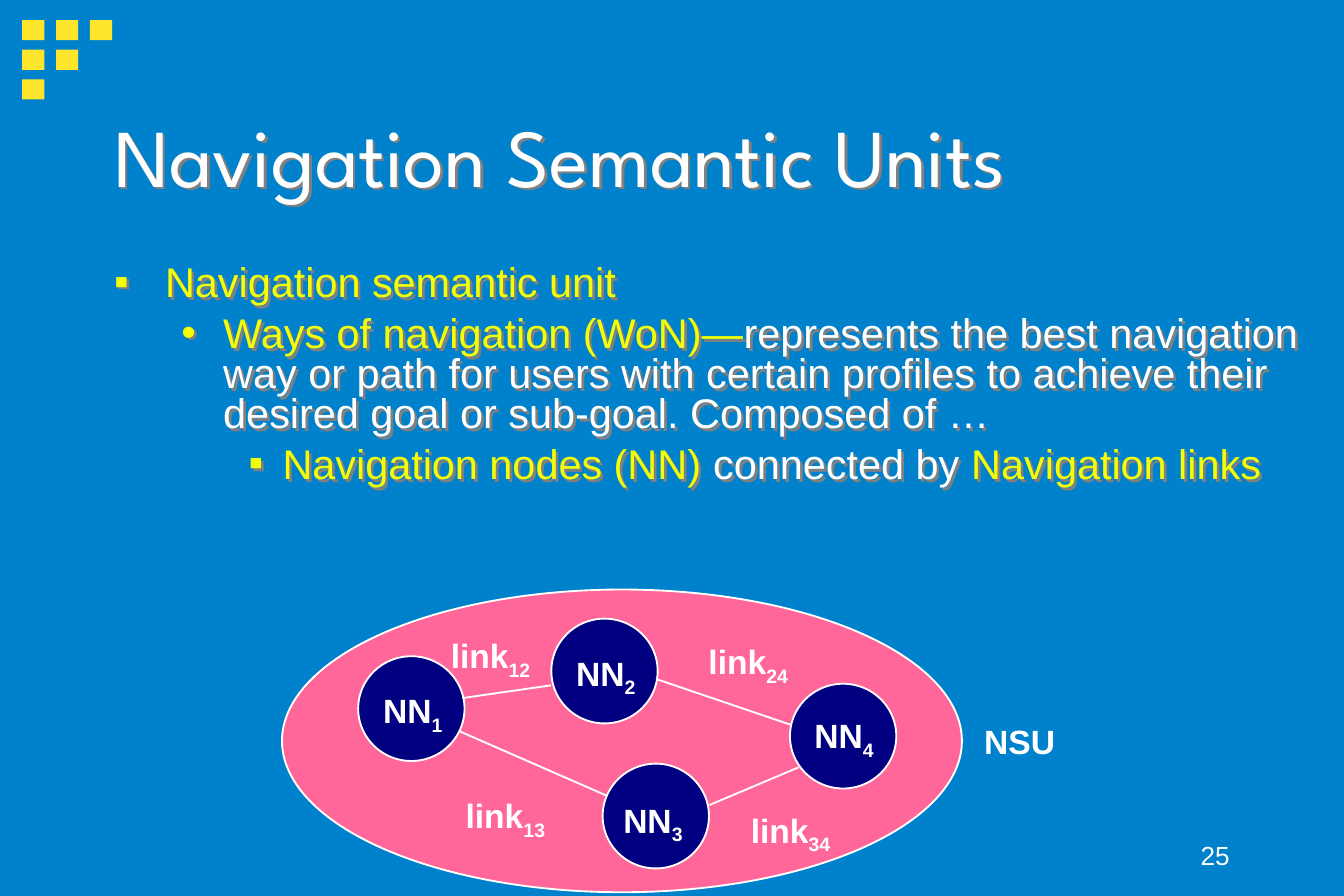
from dataclasses import dataclass

from lxml import etree
from pptx import Presentation
from pptx import util as u
from pptx.dml.color import RGBColor
from pptx.enum import shapes, text
from pptx.oxml import ns


@dataclass(frozen=True)
class Theme:
    background: str = "0081CB"
    square: str = "FFE62D"
    unit: str = "FF6699"
    node: str = "000080"
    white: str = "FFFFFF"
    accent: str = "F3FF07"
    shadow: str = "808080"
    heading: str = "League Spartan"
    body: str = "Arial"
    title_size: float = 44
    body_size: float = 22.2
    label_size: float = 18
    number_size: float = 14


THEME = Theme()
SQUARES_PER_ROW = (3, 2, 1)
NODE_SIZE = (2.01, 1.98)
NODES = {
    "1": ((6.77, 12.4), (6.99, 12.93)),
    "2": ((10.42, 11.69), (10.64, 12.22)),
    "3": ((11.39, 14.43), (11.53, 15)),
    "4": ((14.93, 12.92), (15.14, 13.4)),
}
LINKS = {
    "12": ((8.74, 13.19), (10.41, 12.95), (8.27, 11.89)),
    "13": ((8.69, 13.82), (11.48, 15.04), (8.55, 14.91)),
    "24": ((12.4, 12.83), (14.96, 13.7), (13.14, 12)),
    "34": ((13.41, 15.21), (15.09, 14.5), (13.94, 15.19)),
}
BULLETS = [
    ("▪", 0.96, 0.96, [("Navigation semantic unit", THEME.accent)]),
    ("•", 2.06, 0.79, [
        ("Ways of navigation (WoN)—", THEME.accent),
        ("represents the best navigation way or path for users with certain "
         "profiles to achieve their desired goal or sub-goal. Composed of …",
         THEME.white),
    ]),
    ("▪", 3.18, 0.64, [
        ("Navigation nodes (NN)", THEME.accent),
        (" connected by ", THEME.white),
        ("Navigation links", THEME.accent),
    ]),
]


def color(value):
    return RGBColor.from_string(value)


def lengths(*values):
    return [u.Cm(value) for value in values]


def add_figure(page, kind, place, fill, line=None):
    figure = page.shapes.add_shape(kind, *lengths(*place))
    figure.shadow.inherit = False
    figure.fill.solid()
    figure.fill.fore_color.rgb = color(fill)
    if line:
        figure.line.color.rgb = color(line)
        figure.line.width = u.Pt(1)
    else:
        figure.line.fill.background()


def add_line(page, start, end):
    line = page.shapes.add_connector(
        shapes.MSO_CONNECTOR.STRAIGHT, *lengths(*start, *end))
    line.line.color.rgb = color(THEME.white)
    line.line.width = u.Pt(1)
    etree.SubElement(line._element.spPr, ns.qn("a:effectLst"))


def add_box(page, place, wrap=True, shadowed=False):
    box = page.shapes.add_textbox(*lengths(*place))
    box.text_frame.word_wrap = wrap
    if shadowed:
        effects = etree.SubElement(box._element.spPr, ns.qn("a:effectLst"))
        shadow = etree.SubElement(effects, ns.qn("a:outerShdw"),
                                  dist="25400", dir="2700000")
        etree.SubElement(shadow, ns.qn("a:srgbClr"), val=THEME.shadow)
    return box.text_frame


def style(span, size, shade=THEME.white, face=THEME.body, bold=False):
    span.font.size = u.Pt(size)
    span.font.name = face
    span.font.bold = bold
    span.font.color.rgb = color(shade)


def add_bullet(para, mark, indent, hanging):
    properties = para._p.get_or_add_pPr()
    properties.set("marL", str(u.Cm(indent)))
    properties.set("indent", str(-u.Cm(hanging)))
    shade = etree.SubElement(properties, ns.qn("a:buClr"))
    etree.SubElement(shade, ns.qn("a:srgbClr"), val=THEME.accent)
    etree.SubElement(properties, ns.qn("a:buFont"), typeface=THEME.body)
    etree.SubElement(properties, ns.qn("a:buChar"), char=mark)


def add_title(page):
    frame = add_box(page, (1.91, 1.51, 21.59, 2.82), shadowed=True)
    frame.vertical_anchor = text.MSO_ANCHOR.MIDDLE
    frame.text = "Navigation Semantic Units"
    style(frame.paragraphs[0].runs[0], THEME.title_size, face=THEME.heading)


def add_body(page):
    frame = add_box(page, (1.91, 4.9, 23.49, 4.44), shadowed=True)
    for index, (mark, indent, hanging, pieces) in enumerate(BULLETS):
        para = frame.add_paragraph() if index else frame.paragraphs[0]
        para.level = index
        para.line_spacing = 0.8
        para.space_before = u.Pt(6 if index else 0)
        add_bullet(para, mark, indent, hanging)
        for words, shade in pieces:
            span = para.add_run()
            span.text = words
            style(span, THEME.body_size, shade)


def add_label(page, words, place, subscript=""):
    frame = add_box(page, place, wrap=False)
    para = frame.paragraphs[0]
    para.line_spacing = 0.9
    para.text = words
    if subscript:
        para.add_run().text = subscript
    for span in para.runs:
        style(span, THEME.label_size, bold=True)
    if subscript:
        para.runs[1].font._element.set("baseline", "-25000")


def add_number(page):
    frame = add_box(page, (18.21, 15.45, 5.28, 1.12))
    frame.vertical_anchor = text.MSO_ANCHOR.BOTTOM
    frame.text = "25"
    para = frame.paragraphs[0]
    para.alignment = text.PP_ALIGN.RIGHT
    style(para.runs[0], THEME.number_size)


def add_diagram(page):
    oval = shapes.MSO_SHAPE.OVAL
    add_figure(page, oval, (5.33, 11.14, 12.85, 5.72), THEME.unit, THEME.white)
    for corner, _ in NODES.values():
        add_figure(page, oval, (*corner, *NODE_SIZE), THEME.node, THEME.white)
    for subscript, (start, end, corner) in LINKS.items():
        add_line(page, start, end)
        add_label(page, "link", (*corner, 2.01, 1.04), subscript)
    for subscript, (_, corner) in NODES.items():
        add_label(page, "NN", (*corner, 1.63, 1.04), subscript)
    add_label(page, "NSU", (18.35, 13.59, 1.85, 0.94))


def main():
    deck = Presentation()
    deck.slide_width, deck.slide_height = lengths(25.4, 16.93)
    page = deck.slides.add_slide(deck.slide_layouts[6])
    page.background.fill.solid()
    page.background.fill.fore_color.rgb = color(THEME.background)
    for row, count in enumerate(SQUARES_PER_ROW):
        for column in range(count):
            place = (0.42 + 0.64 * column, 0.38 + 0.56 * row, 0.42, 0.38)
            add_figure(page, shapes.MSO_SHAPE.RECTANGLE, place, THEME.square)
    add_title(page)
    add_body(page)
    add_diagram(page)
    add_number(page)
    deck.save("out.pptx")


if __name__ == "__main__":
    main()
